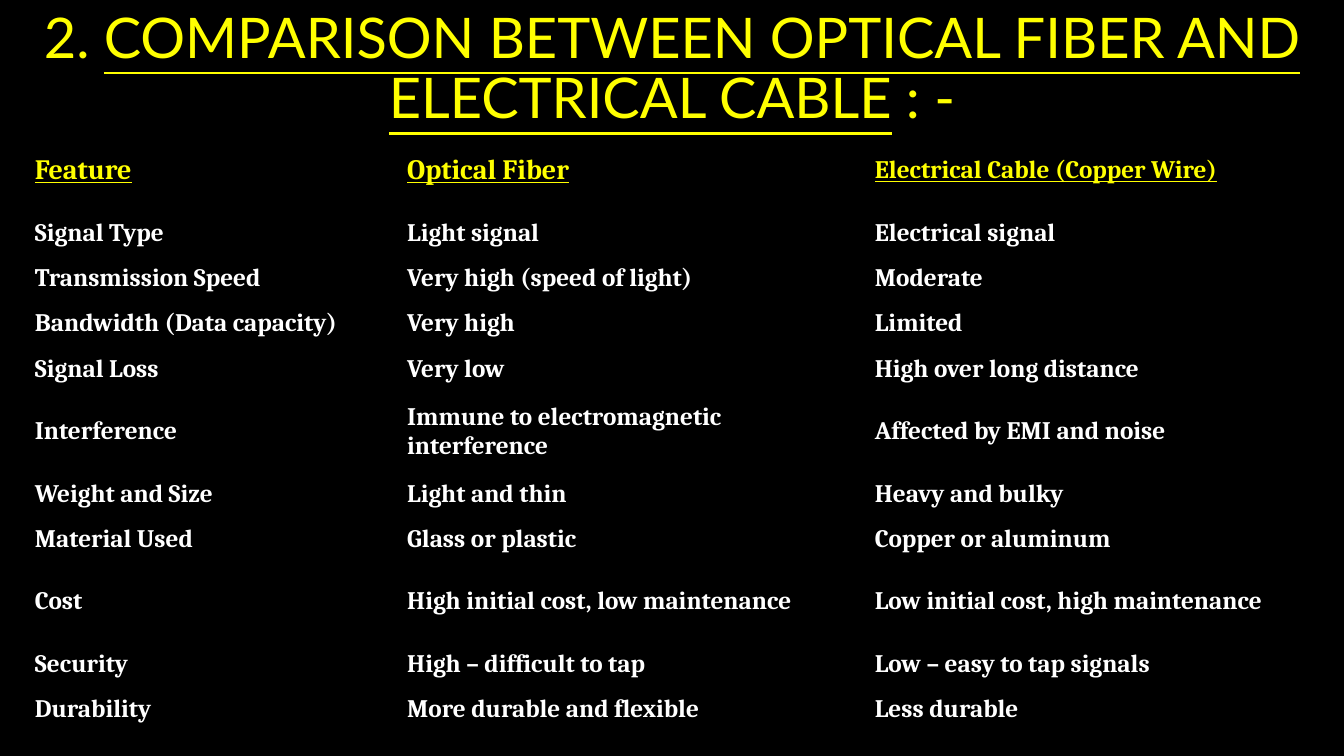
from pptx import Presentation
from pptx.dml.color import RGBColor
from pptx.enum.text import MSO_ANCHOR, PP_ALIGN
from pptx.util import Inches, Pt

MIDDLE = MSO_ANCHOR.MIDDLE
CENTER = PP_ALIGN.CENTER

BLACK = RGBColor(0x00, 0x00, 0x00)
YELLOW = RGBColor(0xFF, 0xFF, 0x00)
WHITE = RGBColor(0xFF, 0xFF, 0xFF)

TITLE_FONT = "Lato"
TABLE_FONT = "Cambria"
PLAIN_TABLE_STYLE = "{2D5ABB26-0587-4C30-8999-92F81FD0307C}"

TITLE_RUNS = [
    ("2. ", False),
    ("COMPARISON BETWEEN OPTICAL FIBER AND ELECTRICAL CABLE", True),
    (" : -", False),
]

HEADINGS = [("Feature", 20), ("Optical Fiber", 20), ("Electrical Cable (Copper Wire)", 18)]
COMPARISON = [
    ("Signal Type", "Light signal", "Electrical signal"),
    ("Transmission Speed", "Very high (speed of light)", "Moderate"),
    ("Bandwidth (Data capacity)", "Very high", "Limited"),
    ("Signal Loss", "Very low", "High over long distance"),
    ("Interference", "Immune to electromagnetic interference", "Affected by EMI and noise"),
    ("Weight and Size", "Light and thin", "Heavy and bulky"),
    ("Material Used", "Glass or plastic", "Copper or aluminum"),
    ("Cost", "High initial cost, low maintenance", "Low initial cost, high maintenance"),
    ("Security", "High – difficult to tap", "Low – easy to tap signals"),
    ("Durability", "More durable and flexible", "Less durable"),
]
BODY_SIZE = 18
COLUMN_PERCENTS = [27.7, 34.8, 33.45]
ROW_PERCENT = 6
TALL_ROW_PERCENT = 10.5
TALL_ROWS = {0, 5, 8}


class ComparisonSlide:
    def __init__(self, presentation):
        self.width = presentation.slide_width
        self.height = presentation.slide_height
        self.slide = presentation.slides.add_slide(presentation.slide_layouts[6])
        fill = self.slide.background.fill
        fill.solid()
        fill.fore_color.rgb = BLACK

    def across(self, percent):
        return round(self.width * percent / 100)

    def down(self, percent):
        return round(self.height * percent / 100)

    def run(self, paragraph, text, font_name, size, color, bold=False, underline=False):
        run = paragraph.add_run()
        run.text = text
        font = run.font
        font.name = font_name
        font.size = Pt(size)
        font.color.rgb = color
        font.bold = bold
        font.underline = underline

    def title(self, runs, height):
        box = self.slide.shapes.add_textbox(0, 0, self.width, self.down(height))
        frame = box.text_frame
        frame.word_wrap = True
        frame.vertical_anchor = MIDDLE
        paragraph = frame.paragraphs[0]
        paragraph.alignment = CENTER
        paragraph.line_spacing = 0.9
        for text, underline in runs:
            self.run(paragraph, text, TITLE_FONT, 40, YELLOW, underline=underline)

    def cell(self, cell, text, size, color, underline):
        cell.fill.background()
        cell.vertical_anchor = MIDDLE
        cell.margin_left = cell.margin_right = Inches(0.08)
        cell.margin_top = cell.margin_bottom = Inches(0.04)
        paragraph = cell.text_frame.paragraphs[0]
        self.run(paragraph, text, TABLE_FONT, size, color, True, underline)

    def table(self, left, top, headings, body):
        row_percents = [
            TALL_ROW_PERCENT if index in TALL_ROWS else ROW_PERCENT
            for index in range(len(body) + 1)
        ]
        frame = self.slide.shapes.add_table(
            len(row_percents), len(COLUMN_PERCENTS),
            self.across(left), self.down(top),
            self.across(sum(COLUMN_PERCENTS)), self.down(sum(row_percents)),
        )
        table = frame.table
        table.horz_banding = False
        frame.element.xpath(".//a:tableStyleId")[0].text = PLAIN_TABLE_STYLE
        for column, percent in zip(table.columns, COLUMN_PERCENTS):
            column.width = self.across(percent)
        for row, percent in zip(table.rows, row_percents):
            row.height = self.down(percent)
        for column_index, (text, size) in enumerate(headings):
            self.cell(table.cell(0, column_index), text, size, YELLOW, True)
        for row_index, texts in enumerate(body, start=1):
            for column_index, text in enumerate(texts):
                self.cell(table.cell(row_index, column_index), text, BODY_SIZE, WHITE, False)


def main():
    presentation = Presentation()
    presentation.slide_width = Inches(13.33)
    presentation.slide_height = Inches(7.5)
    comparison = ComparisonSlide(presentation)
    comparison.title(TITLE_RUNS, 18.67)
    comparison.table(2, 17.33, HEADINGS, COMPARISON)
    presentation.save("out.pptx")


if __name__ == "__main__":
    main()
